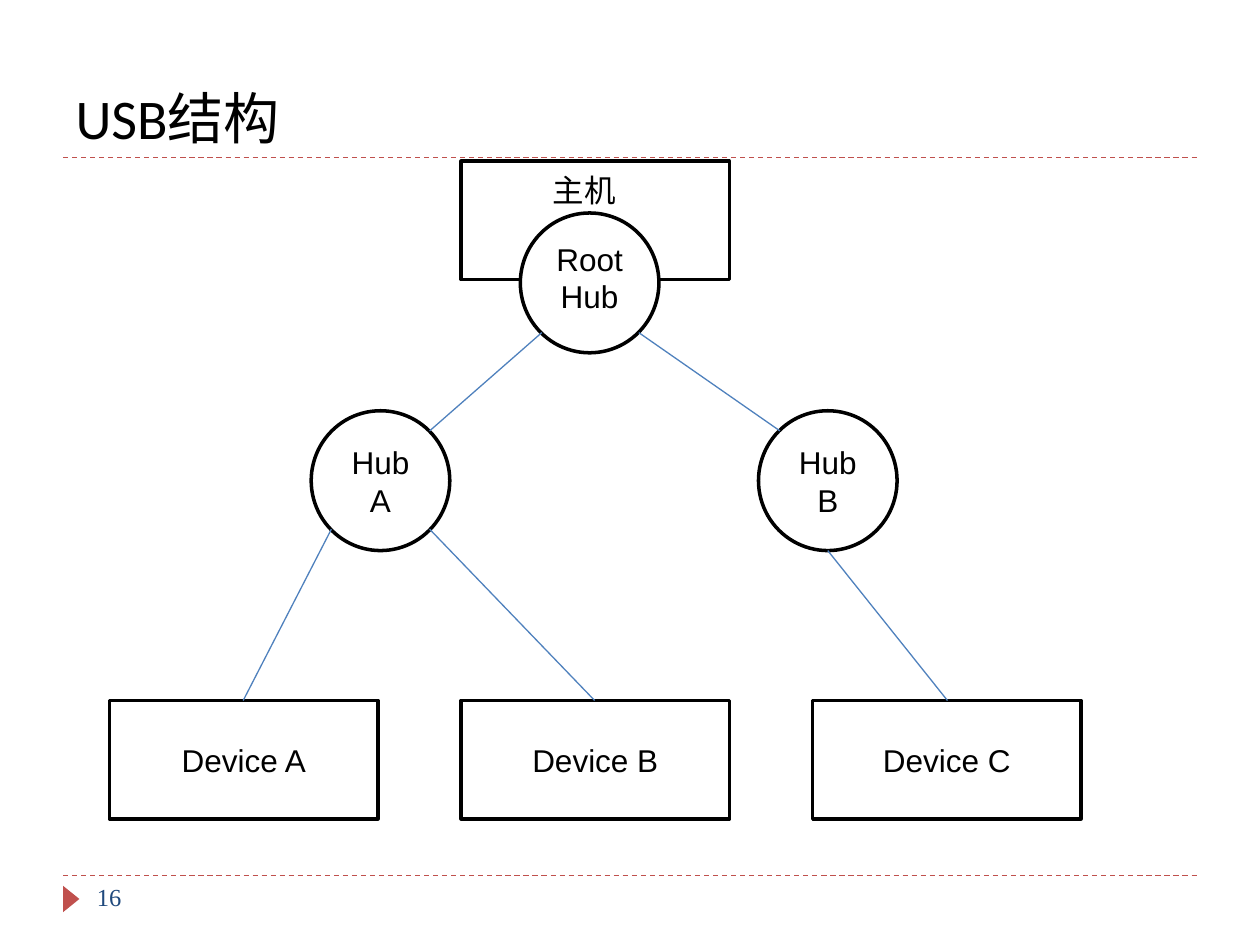
from pptx import Presentation
from pptx.dml.color import RGBColor
from pptx.enum.dml import MSO_LINE
from pptx.enum.shapes import MSO_CONNECTOR, MSO_SHAPE
from pptx.enum.text import MSO_ANCHOR, MSO_AUTO_SIZE, PP_ALIGN
from pptx.oxml.ns import qn
from pptx.util import Inches, Pt
from lxml import etree


def color(value):
    return RGBColor.from_string(value)


def write(shape, lines, size, font_name, font_color="000000", align=PP_ALIGN.LEFT,
          anchor=MSO_ANCHOR.TOP, wrap=True):
    frame = shape.text_frame
    frame.word_wrap = wrap
    frame.vertical_anchor = anchor
    frame.text = lines
    for paragraph in frame.paragraphs:
        paragraph.alignment = align
        for run in paragraph.runs:
            for name, value in {"size": Pt(size), "name": font_name, "bold": False}.items():
                setattr(run.font, name, value)
            run.font.color.rgb = color(font_color)


presentation = Presentation()
presentation.slide_width, presentation.slide_height = Inches(10), Inches(7.5)
slide = presentation.slides.add_slide(presentation.slide_layouts[5])
shapes = slide.shapes

# Title
title = shapes.title
bounds = {"left": 0.5, "top": 0.17, "width": 9, "height": 1.08}
for name, value in bounds.items():
    setattr(title, name, Inches(value))
write(title, "USB结构", 32, "Calibri", anchor=MSO_ANCHOR.BOTTOM)

# Footer marker and slide number
marker = shapes.add_shape(MSO_SHAPE.ISOSCELES_TRIANGLE,
                          Inches(0.46), Inches(7.07), Inches(0.21), Inches(0.13))
marker.rotation = 90
marker.shadow.inherit = False
marker.fill.solid()
marker.fill.fore_color.rgb = color("C0504D")
marker.line.fill.background()
number = shapes.add_textbox(Inches(0.67), Inches(6.95), Inches(2.17), Inches(0.4))
write(number, "16", 14, "Times New Roman", "1F497D")

# Host, hubs and devices: kind, left, top, text, anchor
box, circle = MSO_SHAPE.RECTANGLE, MSO_SHAPE.OVAL
sizes = {box: (2.13, 0.94), circle: (1.1, 1.11)}
nodes = [
    (box, 3.66, 1.28, "", MSO_ANCHOR.MIDDLE),
    (circle, 4.13, 1.69, "Root\nHub", MSO_ANCHOR.TOP),
    (circle, 6.02, 3.26, "Hub B", MSO_ANCHOR.MIDDLE),
    (circle, 2.47, 3.26, "Hub A", MSO_ANCHOR.MIDDLE),
]
for index, letter in enumerate("ABC"):
    nodes.append((box, 0.87 + 2.79 * index, 5.56, f"Device {letter}", MSO_ANCHOR.MIDDLE))
for kind, left, top, text, anchor in nodes:
    width, height = sizes[kind]
    node = shapes.add_shape(kind, Inches(left), Inches(top), Inches(width), Inches(height))
    node.shadow.inherit = False
    node.fill.solid()
    node.fill.fore_color.rgb = color("FFFFFF")
    node.line.color.rgb = color("000000")
    node.line.width = Pt(2)
    if text:
        write(node, text, 18, "Arial", align=PP_ALIGN.CENTER, anchor=anchor)

# Host label
host_label = shapes.add_textbox(Inches(4.29), Inches(1.31), Inches(0.71), Inches(0.4))
write(host_label, "主机", 18, "Calibri", wrap=False)
host_label.text_frame.auto_size = MSO_AUTO_SIZE.SHAPE_TO_FIT_TEXT

# Dashed rules and tree links: start, end, colour, dash
rules = [((0.5, y), (9.5, y), "C0504D", MSO_LINE.DASH) for y in (1.25, 6.95)]
links = [((x1, y1), (x2, y2), "4F81BD", None) for x1, y1, x2, y2 in (
    (4.3, 2.64, 3.41, 3.42),
    (5.07, 2.64, 6.19, 3.42),
    (2.63, 4.2, 1.93, 5.56),
    (3.41, 4.2, 4.72, 5.56),
    (6.57, 4.37, 7.52, 5.56),
)]
for start, end, line_color, dash in rules + links:
    points = [Inches(value) for value in start + end]
    connector = shapes.add_connector(MSO_CONNECTOR.STRAIGHT, *points)
    connector.line.color.rgb = color(line_color)
    connector.line.width = Pt(0.75)
    if dash:
        connector.line.dash_style = dash
    etree.SubElement(connector._element.spPr, qn("a:effectLst"))

presentation.save("out.pptx")
